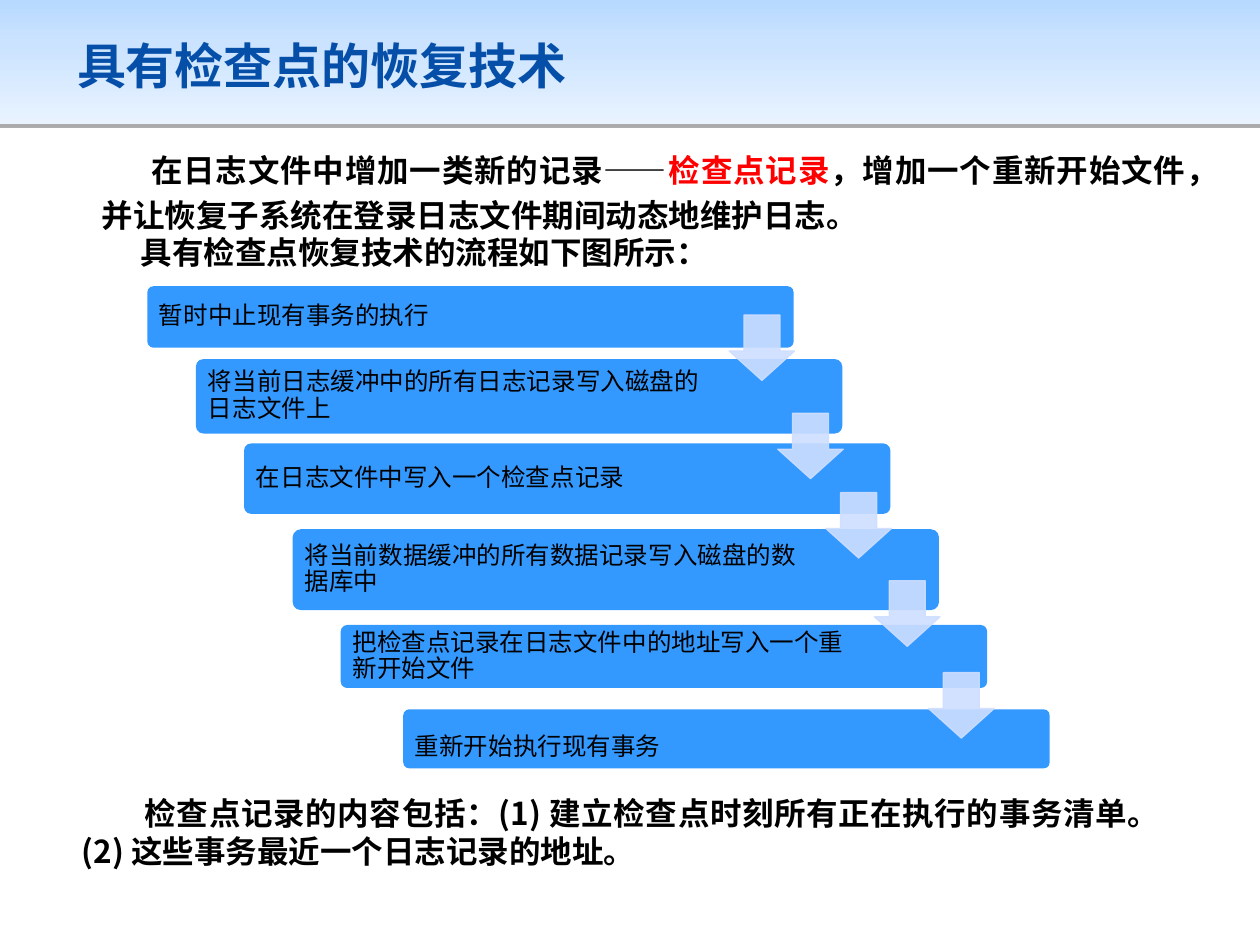
import copy

import pptx
import pptx.dml.color
import pptx.enum.shapes
import pptx.enum.text
import pptx.oxml
import pptx.oxml.ns
import pptx.util
from pptx.util import Cm, Pt

CJK_FONT = "Noto Sans CJK SC"
DRAWING_NS = pptx.oxml.ns.nsdecls("a")
SHAPES = pptx.enum.shapes.MSO_SHAPE
ALIGN = pptx.enum.text.PP_ALIGN
MIDDLE = pptx.enum.text.MSO_ANCHOR.MIDDLE


def rgb(value):
    return pptx.dml.color.RGBColor.from_string(value)


def format_span(span, size, color, bold=False, font=CJK_FONT):
    span.font.size = Pt(size)
    span.font.bold = bold
    span.font.name = font
    span.font.color.rgb = rgb(color)
    span.font._element.append(
        pptx.oxml.parse_xml(f'<a:ea {DRAWING_NS} typeface="{CJK_FONT}"/>'))


deck = pptx.Presentation()
deck.slide_width, deck.slide_height = Cm(25.4), Cm(19.05)
page = deck.slides.add_slide(deck.slide_layouts[5])
title = page.shapes.title

# Header band: three-stop gradient with a hard shadow below, behind the title
band = page.shapes.add_shape(SHAPES.RECTANGLE, 0, 0, deck.slide_width, Cm(2.51))
title.element.addprevious(band.element)
band.line.fill.background()
band.fill.gradient()
band.fill.gradient_angle = 270
first_stop = band.element.spPr.find(".//" + pptx.oxml.ns.qn("a:gs"))
first_stop.addnext(copy.deepcopy(first_stop))
stops = [(0, "B7D9FF"), (0.35, "CBE3FF"), (1, "E8F3FF")]
for stop, (position, color) in zip(band.fill.gradient_stops, stops):
    stop.position = position
    stop.color.rgb = rgb(color)
band.element.spPr.append(pptx.oxml.parse_xml(
    f'<a:effectLst {DRAWING_NS}><a:outerShdw dist="20320" dir="5400000">'
    '<a:srgbClr val="000000"><a:alpha val="33000"/></a:srgbClr>'
    '</a:outerShdw></a:effectLst>'))

# Title
title.left, title.top, title.width, title.height = Cm(1.3), Cm(0.41), Cm(22.81), Cm(1.8)
title.text_frame.text = "具有检查点的恢复技术"
title.text_frame.vertical_anchor = MIDDLE
para = title.text_frame.paragraphs[0]
para.alignment = ALIGN.LEFT
format_span(para.runs[0], 28, "054FA9", True, "Arial")

# Body texts: left, top, width, height, margin, indent, line spacing, space before, spans
body_texts = [
    (1.3, 2.77, 23.5, 2.18, 0.5, 1, 1.2, 3.6, [
        ("在日志文件中增加一类新的记录——", "000000"),
        ("检查点记录", "FF0000"),
        ("，增加一个重新开始文件，并让恢复子系统在登录日志文件期间动态地维护日志。", "000000")]),
    (1.19, 4.57, 22.23, 1.19, 0, 1.4, 1, 0, [
        ("具有检查点恢复技术的流程如下图所示：", "000000")]),
    (1.4, 15.88, 22.23, 1.78, 0, 1.27, 1, 0, [
        ("检查点记录的内容包括：(1) 建立检查点时刻所有正在执行的事务清单。"
         "(2) 这些事务最近一个日志记录的地址。", "000000")]),
]
for left, top, width, height, margin, indent, spacing, before, spans in body_texts:
    box = page.shapes.add_textbox(Cm(left), Cm(top), Cm(width), Cm(height))
    box.text_frame.word_wrap = True
    para = box.text_frame.paragraphs[0]
    para.alignment = ALIGN.JUSTIFY
    para.line_spacing = spacing
    para.space_before = Pt(before)
    properties = para._p.get_or_add_pPr()
    properties.set("marL", str(Cm(margin)))
    properties.set("indent", str(Cm(indent)))
    for text, color in spans:
        span = para.add_run()
        span.text = text
        format_span(span, 18, color, True)

# Steps of the flow: left, top, height, top inset, text
steps = [
    (2.97, 5.77, 1.24, 0.15, "暂时中止现有事务的执行"),
    (3.95, 7.24, 1.5, 0.15, "将当前日志缓冲中的所有日志记录写入磁盘的日志文件上"),
    (4.92, 8.94, 1.42, 0.15, "在日志文件中写入一个检查点记录"),
    (5.9, 10.67, 1.63, 0.15, "将当前数据缓冲的所有数据记录写入磁盘的数据库中"),
    (6.87, 12.6, 1.27, 0.15, "把检查点记录在日志文件中的地址写入一个重新开始文件"),
    (8.13, 14.3, 1.19, 0.5, "重新开始执行现有事务"),
]
for left, top, height, inset, text in steps:
    step = page.shapes.add_shape(
        SHAPES.ROUNDED_RECTANGLE, Cm(left), Cm(top), Cm(13.03), Cm(height))
    step.adjustments[0] = 0.1
    step.shadow.inherit = False
    step.fill.solid()
    step.fill.fore_color.rgb = rgb("3399FF")
    step.line.fill.background()
    frame = step.text_frame
    frame.text = text
    frame.word_wrap = True
    frame.vertical_anchor = MIDDLE
    frame.margin_left, frame.margin_right = Cm(0.2), Cm(2.5)
    frame.margin_top, frame.margin_bottom = Cm(inset), Cm(0.15)
    para = frame.paragraphs[0]
    para.alignment = ALIGN.LEFT
    para.line_spacing = 0.9
    format_span(para.runs[0], 14, "000000")

# Translucent arrows leading from each step to the next
arrows = [(14.7, 6.35), (15.68, 8.33), (16.65, 9.93), (17.63, 11.71), (18.72, 13.56)]
for left, top in arrows:
    arrow = page.shapes.add_shape(SHAPES.DOWN_ARROW, Cm(left), Cm(top), Cm(1.32), Cm(1.32))
    arrow.adjustments[0], arrow.adjustments[1] = 0.55, 0.45
    arrow.shadow.inherit = False
    arrow.fill.solid()
    arrow.fill.fore_color.rgb = rgb("CEDEFF")
    arrow.line.color.rgb = rgb("CEDEFF")
    arrow.line.width = Pt(0.75)
    for color in arrow.element.spPr.iter(pptx.oxml.ns.qn("a:srgbClr")):
        color.append(pptx.oxml.parse_xml(f'<a:alpha {DRAWING_NS} val="90000"/>'))

deck.save("out.pptx")
